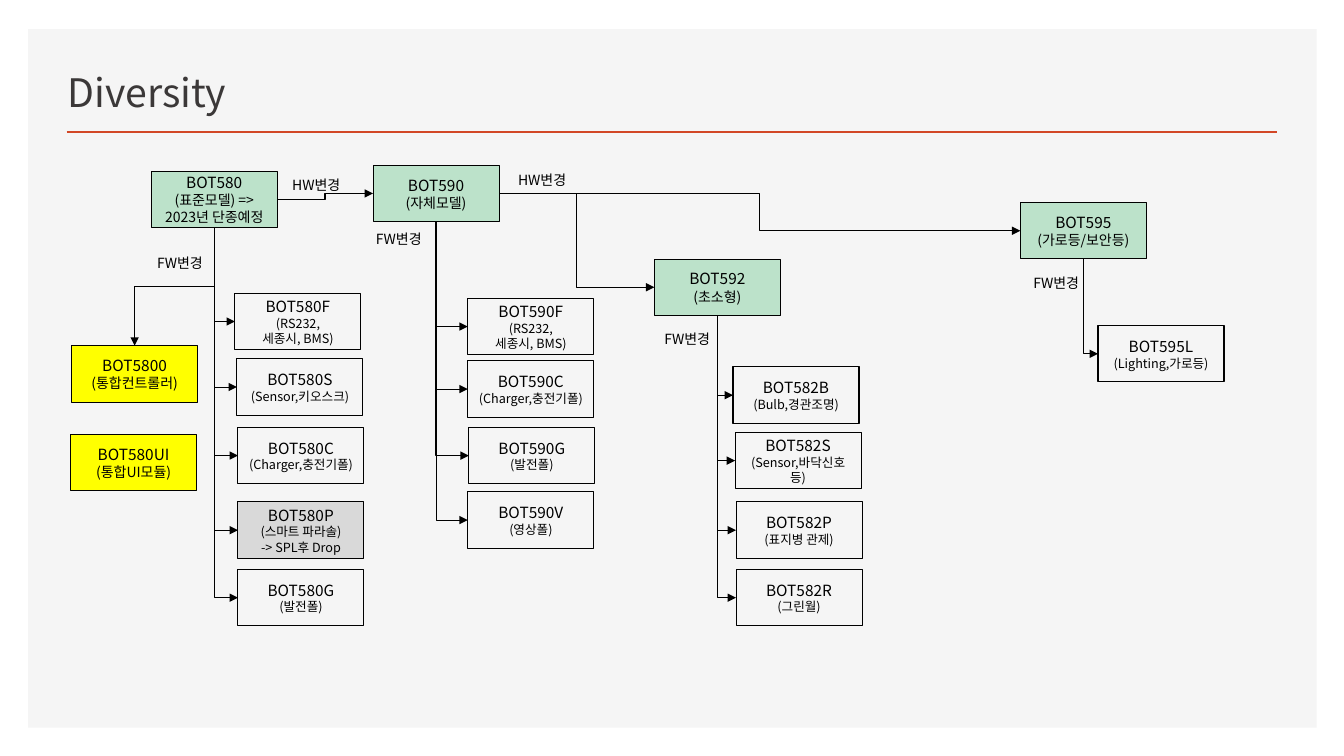
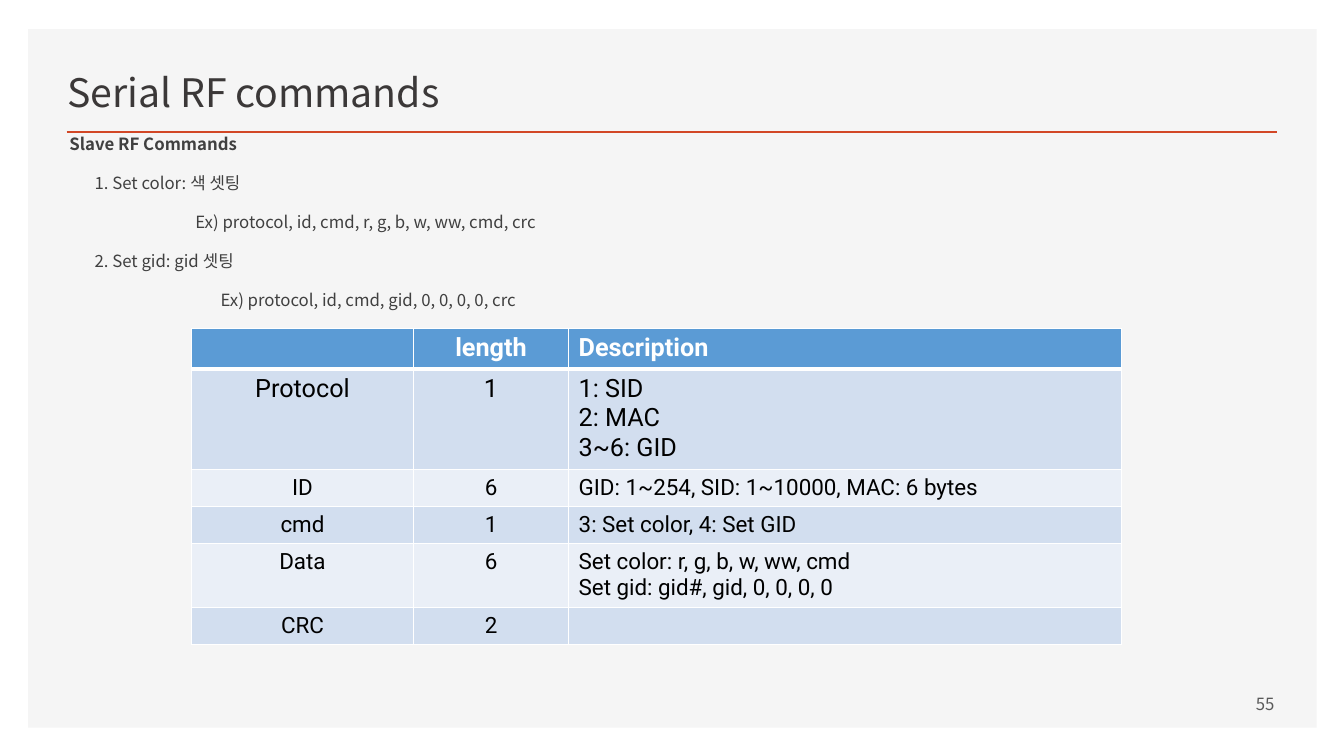
from lxml import etree
from pptx import Presentation
from pptx.dml.color import RGBColor
from pptx.enum.shapes import MSO_CONNECTOR, MSO_SHAPE
from pptx.enum.text import MSO_ANCHOR, PP_ALIGN
from pptx.oxml.ns import qn
from pptx.util import Pt

EMU_PER_PX = 9144  # 100 px to the inch
SANS, TABLE_FONT = "Noto Sans CJK KR", "Roboto"
BLACK, WHITE, PANEL, ACCENT = "000000", "FFFFFF", "F5F5F5", "D24726"
TITLE, BODY, NUMBER = "3B3838", "404040", "595959"
GREEN, YELLOW, GRAY = "BCE2CA", "FFFF00", "D9D9D9"
HEADER, BAND_DARK, BAND_LIGHT = "5B9BD5", "D2DEEF", "EAEFF7"
RECTANGLE, STRAIGHT, ELBOW = MSO_SHAPE.RECTANGLE, MSO_CONNECTOR.STRAIGHT, MSO_CONNECTOR.ELBOW
LEFT, CENTER, RIGHT = PP_ALIGN.LEFT, PP_ALIGN.CENTER, PP_ALIGN.RIGHT
TOP, MIDDLE, BOTTOM = MSO_ANCHOR.TOP, MSO_ANCHOR.MIDDLE, MSO_ANCHOR.BOTTOM
SIDE_TOP, SIDE_LEFT, SIDE_BOTTOM, SIDE_RIGHT = range(4)
QUARTER_TURN = 90 * 60000
MODEL_WIDTH, MODEL_HEIGHT = 125, 56

# name, detail lines, left and top from the family's corner, fill
FAMILIES = {
    "BOT580": {
        "at": (150, 170), "details": ["(표준모델) => 2023년 단종예정"], "label": (-4, 78),
        "variants": [
            ("BOT580F", ["(RS232,", "세종시, BMS)"], 83, 121, None),
            ("BOT580S", ["(Sensor,키오스크)"], 85, 186, None),
            ("BOT580C", ["(Charger,충전기폴)"], 86, 254, None),
            ("BOT580P", ["(스마트 파라솔)", "-> SPL후 Drop"], 86, 328, GRAY),
            ("BOT580G", ["(발전폴)"], 86, 395, None),
        ],
    },
    "BOT590": {
        "at": (370, 164), "details": ["(자체모델)"], "label": (-7, 60),
        "variants": [
            ("BOT590F", ["(RS232,", "세종시, BMS)"], 94, 132, None),
            ("BOT590C", ["(Charger,충전기폴)"], 94, 194, None),
            ("BOT590G", ["(발전폴)"], 95, 260, None),
            ("BOT590V", ["(영상폴)"], 94, 324, None),
        ],
    },
    "BOT592": {
        "at": (649, 257), "details": ["(초소형)"], "label": (0, 66),
        "variants": [
            ("BOT582B", ["(Bulb,경관조명)"], 78, 107, None),
            ("BOT582S", ["(Sensor,바닥신호등)"], 80, 172, None),
            ("BOT582P", ["(표지병 관제)"], 81, 241, None),
            ("BOT582R", ["(그린월)"], 81, 308, None),
        ],
    },
    "BOT595": {
        "at": (1012, 201), "details": ["(가로등/보안등)"], "label": (3, 66),
        "variants": [("BOT595L", ["(Lighting,가로등)"], 77, 122, None)],
    },
}

COMMANDS = [  # text, indent
    ("Slave RF Commands", 0),
    ("1. Set color: 색 셋팅", 25),
    ("Ex) protocol, id, cmd, r, g, b, w, ww, cmd, crc", 125),
    ("2. Set gid: gid 셋팅", 25),
    ("Ex) protocol, id, cmd, gid, 0, 0, 0, 0, crc", 150),
]

COLUMN_WIDTHS = [220, 154, 548]
FIELDS = [  # row height, text size, cells
    (38, 18, ["", "length", "Description"]),
    (98, 18, ["Protocol", "1", "1: SID\n2: MAC\n3~6: GID"]),
    (36, 16, ["ID", "6", "GID: 1~254, SID: 1~10000, MAC: 6 bytes"]),
    (36, 16, ["cmd", "1", "3: Set color, 4: Set GID"]),
    (61, 16, ["Data", "6", "Set color: r, g, b, w, ww, cmd\nSet gid: gid#, gid, 0, 0, 0, 0"]),
    (36, 16, ["CRC", "2", ""]),
]


def px(*lengths):
    return [length * EMU_PER_PX for length in lengths]


def color(value):
    return RGBColor.from_string(value)


def style(para, size, ink, align=LEFT, font=SANS, bold=False):
    para.alignment = align
    for span in para.runs:
        span.font.size = Pt(size)
        span.font.name = font
        span.font.bold = bold
        span.font.color.rgb = color(ink)
        latin = span._r.rPr.find(qn("a:latin"))
        east_asian = etree.Element(qn("a:ea"), typeface=font)
        latin.addnext(east_asian)
    if not para.runs:
        para._p.get_or_add_endParaRPr().set("sz", str(size * 100))


def add_text(page, box, text, size, ink, align=LEFT, anchor=TOP, wrap=True):
    shape = page.shapes.add_textbox(*px(*box))
    frame = shape.text_frame
    frame.text = text
    frame.word_wrap = wrap
    frame.vertical_anchor = anchor
    for para in frame.paragraphs:
        style(para, size, ink, align)
    return shape


def finish_line(connector, ink, width, arrow=False):
    connector.line.color.rgb = color(ink)
    connector.line.width = Pt(width)
    properties = connector._element.spPr
    etree.SubElement(properties, qn("a:effectLst"))
    if arrow:
        etree.SubElement(properties.find(qn("a:ln")), qn("a:tailEnd"), type="triangle")


def add_page(deck, title):
    """Add a page with the panel, rule and title that all pages share."""
    page = deck.slides.add_slide(deck.slide_layouts[6])
    panel = page.shapes.add_shape(RECTANGLE, *px(28, 29, 1278, 693))
    panel.shadow.inherit = False
    panel.fill.solid()
    panel.fill.fore_color.rgb = color(PANEL)
    panel.line.fill.background()
    rule = page.shapes.add_connector(STRAIGHT, *px(66, 131, 1267, 131))
    finish_line(rule, ACCENT, 2)
    add_text(page, (57, 49, 752, 70), title, 28, TITLE, anchor=BOTTOM)
    return page


def add_model(page, left, top, name, details, detail_size, fill=None):
    shape = page.shapes.add_shape(RECTANGLE, *px(left, top, MODEL_WIDTH, MODEL_HEIGHT))
    shape.shadow.inherit = False
    if fill:
        shape.fill.solid()
        shape.fill.fore_color.rgb = color(fill)
    else:
        shape.fill.background()
    shape.line.color.rgb = color(BLACK)
    shape.line.width = Pt(0.75)
    frame = shape.text_frame
    frame.text = "\n".join([name] + details)
    frame.word_wrap = True
    frame.vertical_anchor = MIDDLE
    for index, para in enumerate(frame.paragraphs):
        style(para, detail_size if index else 11, BLACK, CENTER)
    return shape


def link(page, start, start_side, end, end_side, width=0.75):
    """Join two models with an elbow arrow; one that leaves downwards is a turned preset."""
    connector = page.shapes.add_connector(ELBOW, 0, 0, 0, 0)
    connector.begin_connect(start, start_side)
    connector.end_connect(end, end_side)
    if start_side == SIDE_BOTTOM:
        across, down = connector.width, connector.height
        connector.left += (across - down) // 2
        connector.top += (down - across) // 2
        connector.width, connector.height = down, across
        properties = connector._element.spPr
        transform = properties.find(qn("a:xfrm"))
        one_bend = end_side == SIDE_LEFT
        transform.set("rot", str(QUARTER_TURN * (3 if one_bend else 1)))
        transform.set("flipH", "1" if one_bend else "0")
        if one_bend:
            properties.find(qn("a:prstGeom")).set("prst", "bentConnector2")
    finish_line(connector, BLACK, width, arrow=True)


def add_family(page, name, at, details, label, variants):
    """Draw a base model with its firmware variants below and return the base."""
    left, top = at
    base = add_model(page, left, top, name, details, 10, GREEN)
    for variant, notes, across, down, fill in variants:
        shape = add_model(page, left + across, top + down, variant, notes, 9, fill)
        link(page, base, SIDE_BOTTOM, shape, SIDE_LEFT)
    add_text(page, (left + label[0], top + label[1], 69, 27), "FW변경", 10, BLACK, wrap=False)
    return base


def build_diversity(deck):
    page = add_page(deck, "Diversity")
    bases = {name: add_family(page, name, **family) for name, family in FAMILIES.items()}
    controller = add_model(page, 71, 343, "BOT5800", ["(통합컨트롤러)"], 10, YELLOW)
    add_model(page, 70, 431, "BOT580UI", ["(통합UI모듈)"], 10, YELLOW)
    link(page, bases["BOT580"], SIDE_BOTTOM, controller, SIDE_TOP)
    for start, end in (("BOT580", "BOT590"), ("BOT590", "BOT592"), ("BOT590", "BOT595")):
        link(page, bases[start], SIDE_RIGHT, bases[end], SIDE_LEFT, 1)
    for left, top in ((280, 170), (504, 165)):
        add_text(page, (left, top, 70, 27), "HW변경", 10, BLACK)


def add_commands(page, box):
    lines = "\n".join(text for text, _ in COMMANDS)
    frame = add_text(page, box, lines, 12, BODY).text_frame
    for index, (para, (_, indent)) in enumerate(zip(frame.paragraphs, COMMANDS)):
        para.line_spacing = Pt(6)
        para.space_before = Pt(10 if index else 0)
        para.space_after = Pt(12)
        para._p.get_or_add_pPr().set("marL", str(px(indent)[0]))
        para.runs[0].font.bold = index == 0


def set_borders(cell, bottom_width):
    properties = cell._tc.get_or_add_tcPr()
    widths = {"lnL": 1, "lnR": 1, "lnT": 1, "lnB": bottom_width}
    for index, (edge, width) in enumerate(widths.items()):
        line = etree.Element(qn("a:" + edge), w=str(Pt(width)))
        fill = etree.SubElement(line, qn("a:solidFill"))
        etree.SubElement(fill, qn("a:srgbClr"), val=WHITE)
        properties.insert(index, line)


def add_fields(page, left, top):
    heights = [height for height, _, _ in FIELDS]
    box = px(left, top, sum(COLUMN_WIDTHS), sum(heights))
    table = page.shapes.add_table(len(FIELDS), len(COLUMN_WIDTHS), *box).table
    for column, width in zip(table.columns, px(*COLUMN_WIDTHS)):
        column.width = width
    for row, (height, size, texts) in enumerate(FIELDS):
        table.rows[row].height = px(height)[0]
        header = row == 0
        band = HEADER if header else BAND_DARK if row % 2 else BAND_LIGHT
        for column, text in enumerate(texts):
            cell = table.cell(row, column)
            cell.text_frame.text = text
            cell.fill.solid()
            cell.fill.fore_color.rgb = color(band)
            for para in cell.text_frame.paragraphs:
                style(para, size, WHITE if header else BLACK,
                      CENTER if column < 2 else LEFT, TABLE_FONT, header)
            set_borders(cell, 3 if header else 1)


def build_serial_commands(deck):
    page = add_page(deck, "Serial RF commands")
    add_commands(page, (59, 139, 1213, 180))
    add_fields(page, 190, 326)
    add_text(page, (916, 678, 358, 40), "55", 12, NUMBER, RIGHT, MIDDLE)


def main():
    deck = Presentation()
    deck.slide_width, deck.slide_height = px(1333, 750)
    build_diversity(deck)
    build_serial_commands(deck)
    deck.save("out.pptx")


if __name__ == "__main__":
    main()
